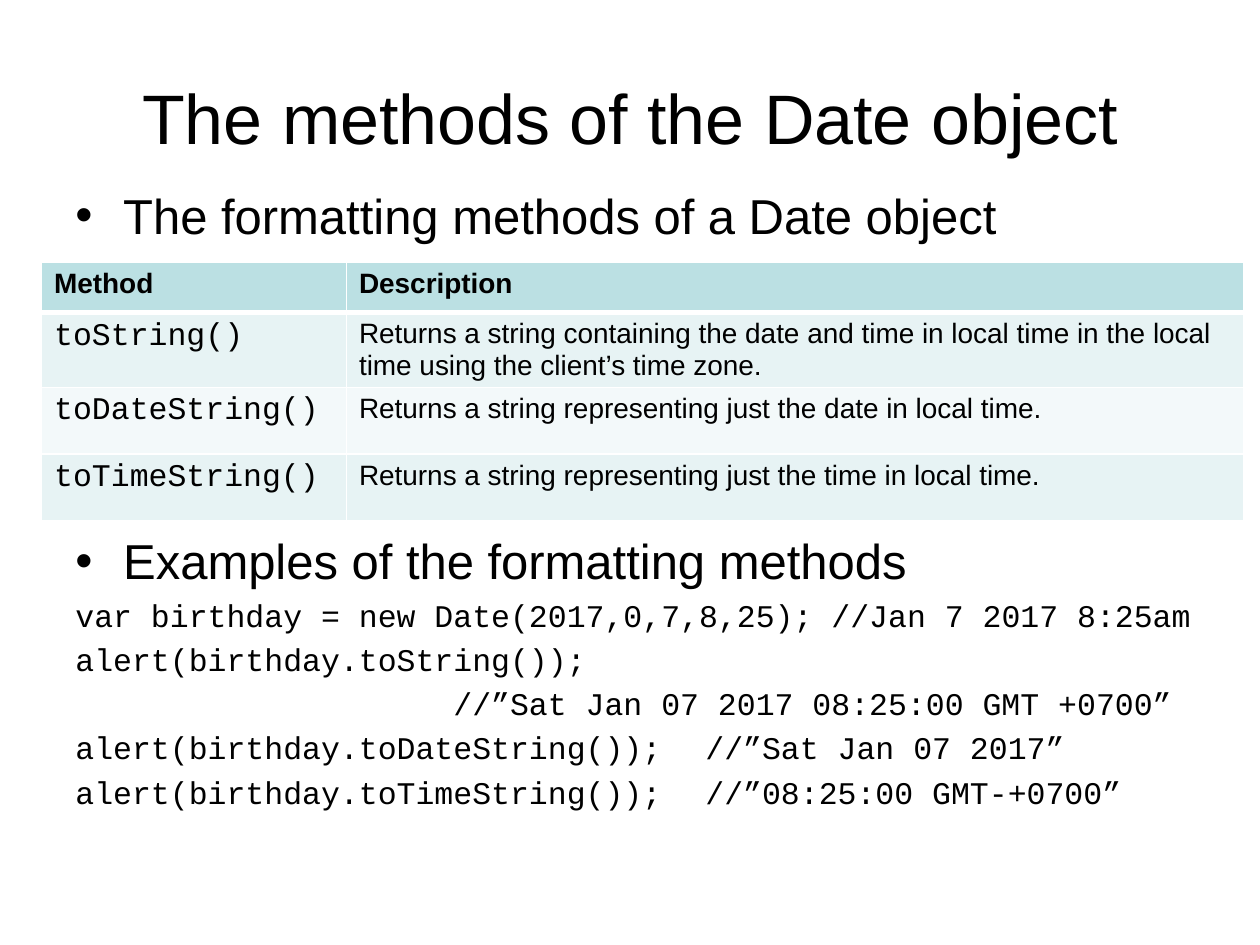
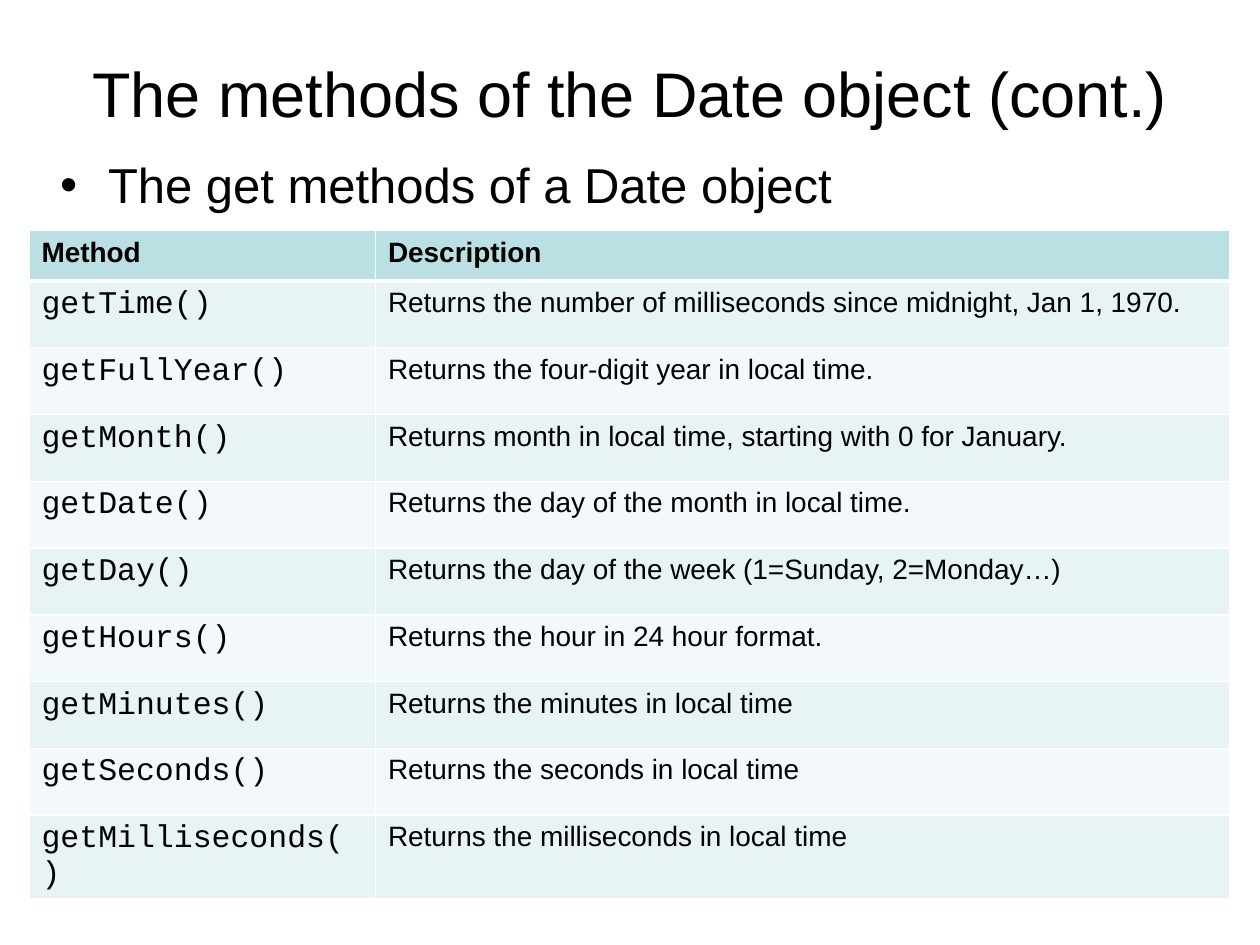
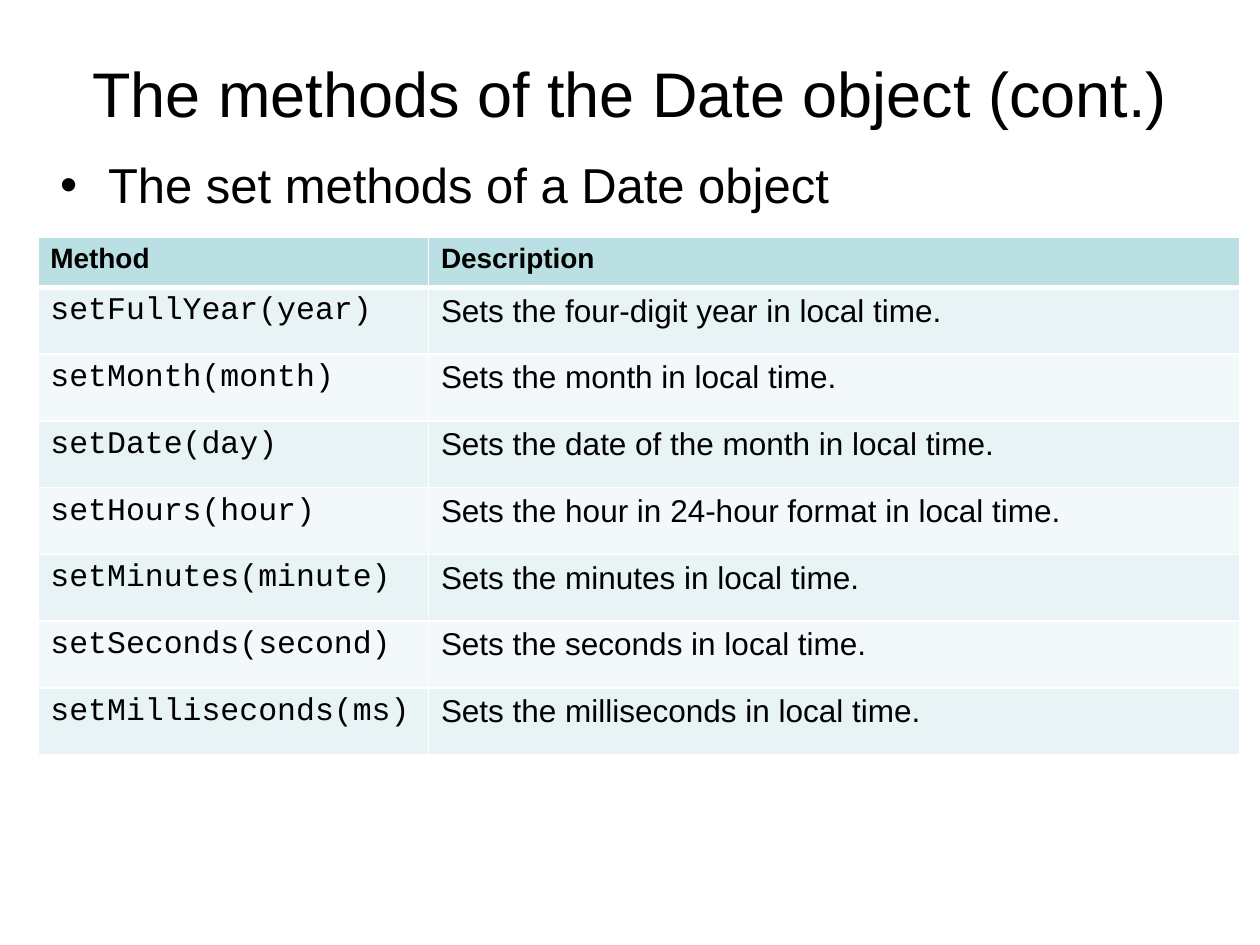
"""Build three slides on the methods of the JavaScript Date object."""
from dataclasses import dataclass

from lxml import etree
from pptx import Presentation, util as u
from pptx.dml.color import RGBColor
from pptx.enum import text
from pptx.oxml import ns


@dataclass(frozen=True)
class Theme:
    ink: str = "000000"
    rule: str = "FFFFFF"
    header: str = "BBE0E3"
    bands: tuple[str, str] = ("E7F3F4", "F3F9FA")
    prose: str = "Arial"
    mono: str = "Courier New"
    bullet_size: float = 28
    code_size: float = 18
    header_size: float = 16
    thin: float = 1
    thick: float = 3
    header_height: float = 0.4
    row_height: float = 0.53
    hanging: float = 0.38


@dataclass(frozen=True)
class Box:
    left: float
    top: float
    width: float
    height: float


@dataclass(frozen=True)
class Line:
    words: str
    bullet: bool = False
    before: float = 3.6
    indent: float = 0


@dataclass(frozen=True)
class MethodTable:
    left: float
    top: float
    columns: tuple[float, float]
    description_size: float
    methods: list[tuple[str, str]]


@dataclass(frozen=True)
class Page:
    title: str
    title_size: float
    title_box: Box
    body_box: Box
    lines: list[Line]
    table: MethodTable


THEME = Theme()
CONTINUED = dict(
    title="The methods of the Date object (cont.)",
    title_size=36,
    title_box=Box(0.5, 0.3, 9, 0.87),
    body_box=Box(0.38, 1.18, 9.5, 5.58),
)

PAGES = [
    Page(
        title="The methods of the Date object",
        title_size=40,
        title_box=Box(0.5, 0.3, 9, 1.25),
        body_box=Box(0.5, 1.42, 9.5, 5.58),
        lines=[
            Line("The formatting methods of a Date object", bullet=True, before=0),
            Line("Examples of the formatting methods", bullet=True, before=164),
            Line("var birthday = new Date(2017,0,7,8,25); //Jan 7 2017 8:25am"),
            Line("alert(birthday.toString());"),
            Line("//”Sat Jan 07 2017 08:25:00 GMT +0700”", indent=3),
            Line("alert(birthday.toDateString());\t//”Sat Jan 07 2017”"),
            Line("alert(birthday.toTimeString());\t//”08:25:00 GMT-+0700”"),
        ],
        table=MethodTable(0.33, 2.08, (2.42, 7.12), 16, [
            ("toString()", "Returns a string containing the date and time in local time "
                           "in the local time using the client’s time zone."),
            ("toDateString()", "Returns a string representing just the date in local time."),
            ("toTimeString()", "Returns a string representing just the time in local time."),
        ]),
    ),
    Page(
        **CONTINUED,
        lines=[Line("The get methods of a Date object", bullet=True, before=0)],
        table=MethodTable(0.23, 1.83, (2.75, 6.78), 16, [
            ("getTime()", "Returns the number of milliseconds since midnight, Jan 1, 1970."),
            ("getFullYear()", "Returns the four-digit year in local time."),
            ("getMonth()", "Returns month in local time, starting with 0 for January."),
            ("getDate()", "Returns the day of the month in local time."),
            ("getDay()", "Returns the day of the week (1=Sunday, 2=Monday…)"),
            ("getHours()", "Returns the hour in 24 hour format."),
            ("getMinutes()", "Returns the minutes in local time"),
            ("getSeconds()", "Returns the seconds in local time"),
            ("getMilliseconds()", "Returns the milliseconds in local time"),
        ]),
    ),
    Page(
        **CONTINUED,
        lines=[Line("The set methods of a Date object", bullet=True, before=0)],
        table=MethodTable(0.3, 1.88, (3.1, 6.44), 18, [
            ("setFullYear(year)", "Sets the four-digit year in local time."),
            ("setMonth(month)", "Sets the month in local time."),
            ("setDate(day)", "Sets the date of the month in local time."),
            ("setHours(hour)", "Sets the hour in 24-hour format in local time."),
            ("setMinutes(minute)", "Sets the minutes in local time."),
            ("setSeconds(second)", "Sets the seconds in local time."),
            ("setMilliseconds(ms)", "Sets the milliseconds in local time."),
        ]),
    ),
]


def write(paragraph, words: str, font: str, size: float, bold: bool = False) -> None:
    paragraph.text = words
    for run in paragraph.runs:
        run.font.name = font
        run.font.size = u.Pt(size)
        run.font.bold = bold
        run.font.color.rgb = RGBColor.from_string(THEME.ink)


def add_frame(slide, box: Box, anchor):
    area = slide.shapes.add_textbox(
        u.Inches(box.left), u.Inches(box.top), u.Inches(box.width), u.Inches(box.height))
    frame = area.text_frame
    frame.word_wrap = True
    frame.auto_size = text.MSO_AUTO_SIZE.NONE
    frame.vertical_anchor = anchor
    return frame


def add_title(slide, page: Page) -> None:
    heading = add_frame(slide, page.title_box, text.MSO_ANCHOR.MIDDLE).paragraphs[0]
    heading.alignment = text.PP_ALIGN.CENTER
    write(heading, page.title, THEME.prose, page.title_size)


def indent(paragraph, left: float, first: float = 0, bullet: bool = False) -> None:
    properties = paragraph._p.get_or_add_pPr()
    properties.set("marL", str(u.Inches(left)))
    properties.set("indent", str(u.Inches(first)))
    if bullet:
        color = etree.SubElement(properties, ns.qn("a:buClr"))
        etree.SubElement(color, ns.qn("a:srgbClr"), val=THEME.ink)
        etree.SubElement(properties, ns.qn("a:buFont"), typeface=THEME.prose)
        etree.SubElement(properties, ns.qn("a:buChar"), char="•")


def add_body(slide, page: Page) -> None:
    frame = add_frame(slide, page.body_box, text.MSO_ANCHOR.TOP)
    for index, line in enumerate(page.lines):
        paragraph = frame.add_paragraph() if index else frame.paragraphs[0]
        paragraph.space_before = u.Pt(line.before)
        if line.bullet:
            write(paragraph, line.words, THEME.prose, THEME.bullet_size)
            indent(paragraph, THEME.hanging, -THEME.hanging, bullet=True)
        else:
            write(paragraph, line.words, THEME.mono, THEME.code_size)
            indent(paragraph, line.indent)


def style_cell(cell, fill: str, top: float, bottom: float) -> None:
    properties = cell._tc.get_or_add_tcPr()
    widths = {"lnL": THEME.thin, "lnR": THEME.thin, "lnT": top, "lnB": bottom}
    for side, width in widths.items():
        border = etree.SubElement(properties, ns.qn(f"a:{side}"), w=str(u.Pt(width)))
        solid = etree.SubElement(border, ns.qn("a:solidFill"))
        etree.SubElement(solid, ns.qn("a:srgbClr"), val=THEME.rule)
    cell.fill.solid()
    cell.fill.fore_color.rgb = RGBColor.from_string(fill)


def add_methods(slide, spec_table: MethodTable) -> None:
    count = len(spec_table.methods)
    height = THEME.header_height + count * THEME.row_height
    grid = slide.shapes.add_table(
        count + 1, 2, u.Inches(spec_table.left), u.Inches(spec_table.top),
        u.Inches(sum(spec_table.columns)), u.Inches(height)).table
    grid.horz_banding = False
    for column, width in zip(grid.columns, spec_table.columns):
        column.width = u.Inches(width)
    header_style = (THEME.prose, THEME.header_size, True)
    method_styles = ((THEME.mono, THEME.code_size),
                     (THEME.prose, spec_table.description_size))
    for index, entry in enumerate([("Method", "Description"), *spec_table.methods]):
        is_header = index == 0
        grid.rows[index].height = u.Inches(
            THEME.header_height if is_header else THEME.row_height)
        fill = THEME.header if is_header else THEME.bands[(index - 1) % 2]
        top = THEME.thick if index == 1 else THEME.thin
        bottom = THEME.thick if is_header else THEME.thin
        for column, words in enumerate(entry):
            cell = grid.cell(index, column)
            style = header_style if is_header else method_styles[column]
            write(cell.text_frame.paragraphs[0], words, *style)
            style_cell(cell, fill, top, bottom)


def main() -> None:
    deck = Presentation()
    deck.slide_width, deck.slide_height = u.Inches(10), u.Inches(7.5)
    for page in PAGES:
        slide = deck.slides.add_slide(deck.slide_layouts[6])
        add_title(slide, page)
        add_body(slide, page)
        add_methods(slide, page.table)
    deck.save("out.pptx")


main()
